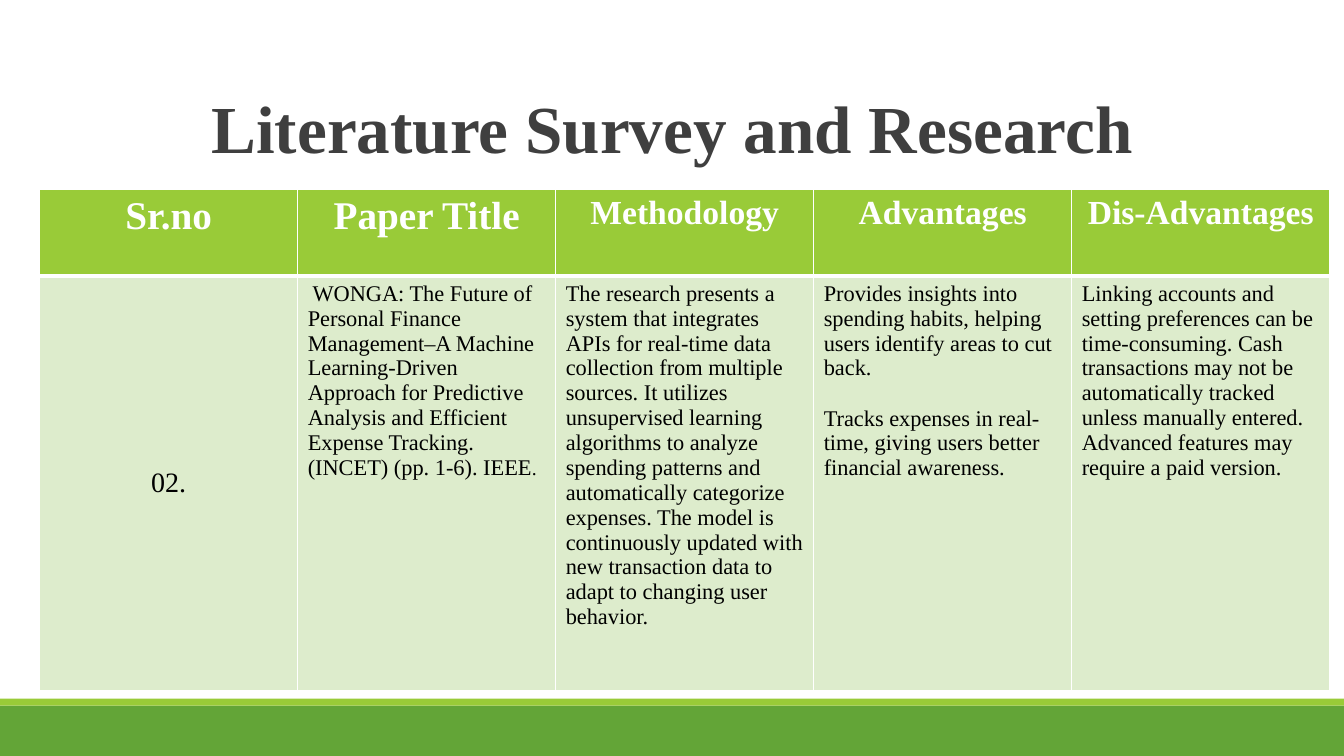
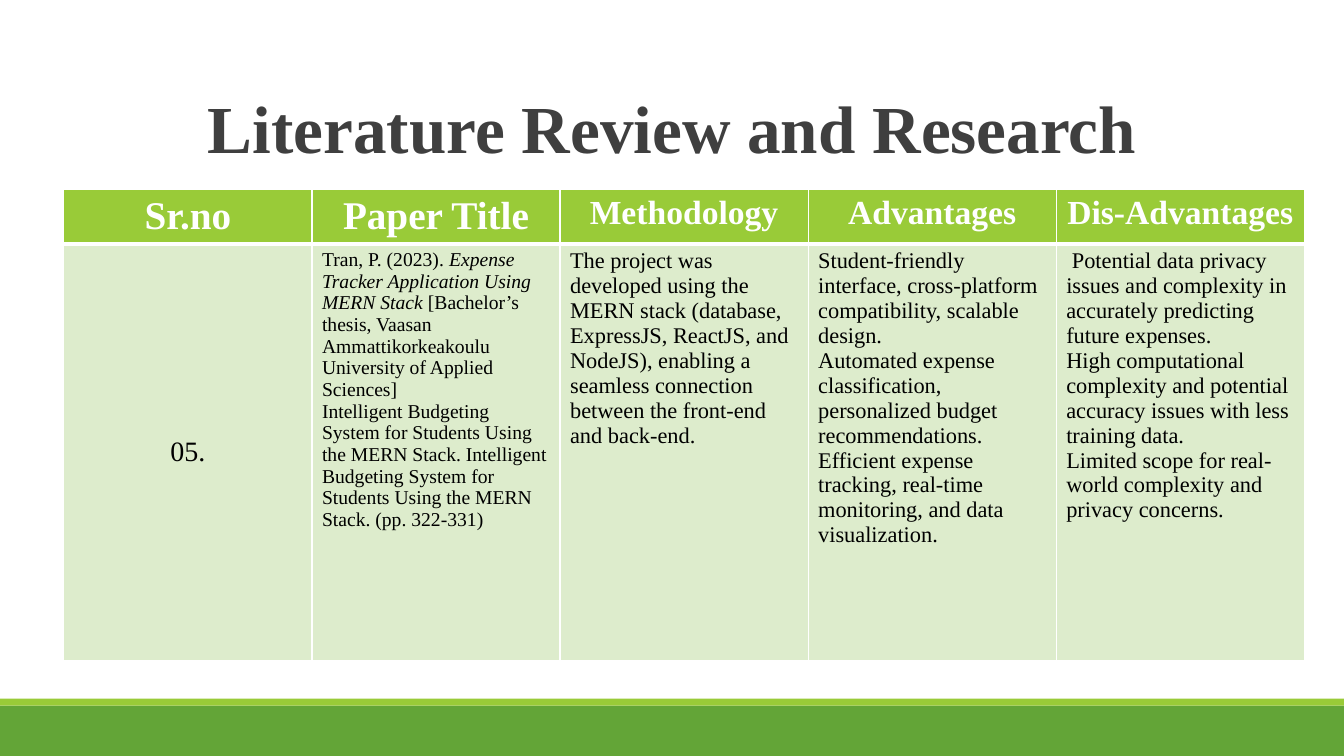
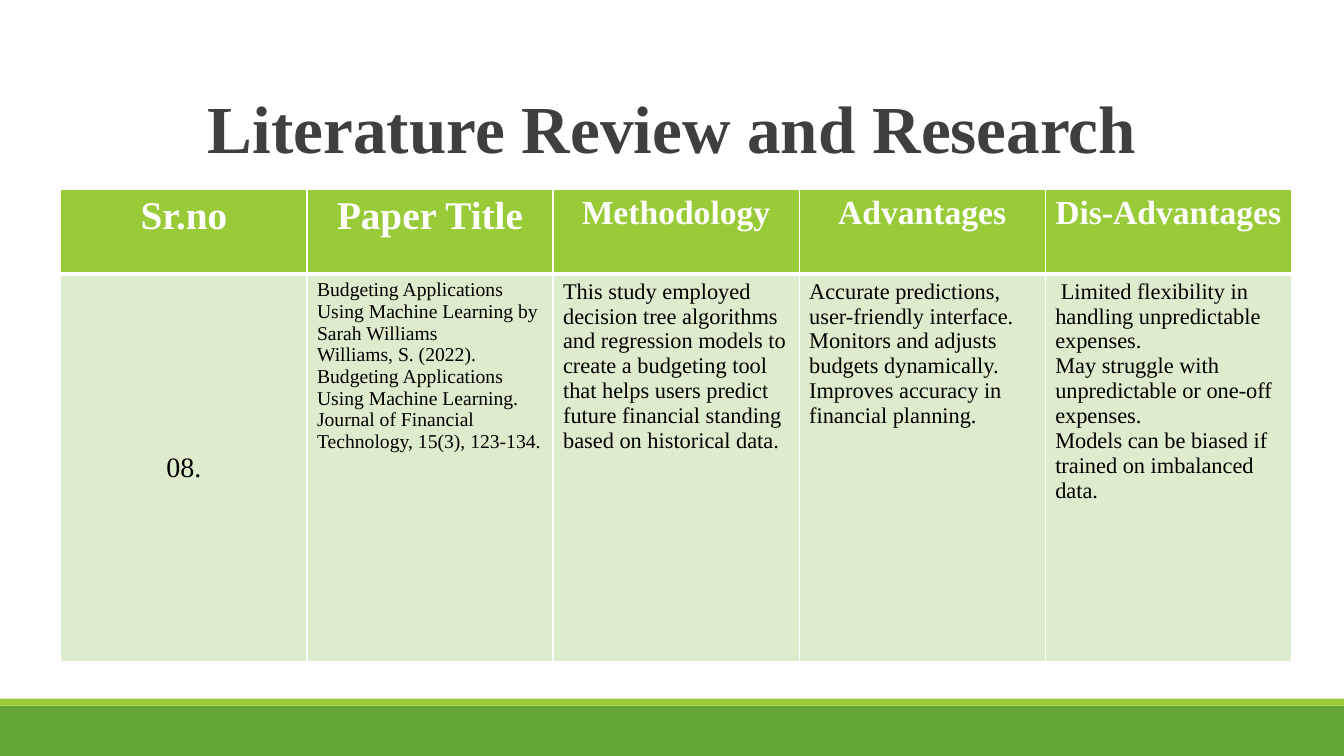
from collections import namedtuple

from lxml import etree
from pptx import Presentation
from pptx import util as u
from pptx.dml.color import RGBColor
from pptx.enum import shapes, text
from pptx.oxml.ns import qn

WHITE = RGBColor(0xFF, 0xFF, 0xFF)
BLACK = RGBColor(0x00, 0x00, 0x00)
CHARCOAL = RGBColor(0x3F, 0x3F, 0x3F)
GREEN = RGBColor(0x63, 0xA5, 0x37)
LIME = RGBColor(0x99, 0xCB, 0x38)
PALE_LIME = RGBColor(0xDD, 0xEC, 0xCC)

FACE = "Times New Roman"
WIDTH, HEIGHT = u.Inches(13.33), u.Inches(7.5)

# Boxes are in percent of the slide's width and height.
Box = namedtuple("Box", "left top width height")
TITLE_BOX = Box(8.78, 1.6, 82.5, 21.2)
BANDS = [(Box(0, 93.33, 100, 6.67), GREEN), (Box(0, 92.4, 100, 0.93), LIME)]
TABLE_TOP = 25.07

HEADINGS = [("Sr.no", 28), ("Paper Title", 28), ("Methodology", 24),
            ("Advantages", 24), ("Dis-Advantages", 24)]

# A paragraph is a string or a list of (text, font settings) runs.
Paper = namedtuple("Paper", "number citation methodology advantages drawbacks")
Survey = namedtuple("Survey", "title left width header body citation_size gap paper")

SURVEYS = [
    Survey(
        "Literature Survey and Research", 2.95, 96, 11.47, 54.8, 16, 18,
        Paper(
            ["02."],
            [[(" ", {"size": u.Pt(14)}),
              ("WONGA: The Future of Personal Finance Management–A Machine "
               "Learning-Driven Approach for Predictive Analysis and Efficient "
               "Expense Tracking. (INCET) (pp. 1-6). IEEE", {}),
              (".", {"size": u.Pt(14)})]],
            ["The research presents a system that integrates APIs for real-time "
             "data collection from multiple sources. It utilizes unsupervised "
             "learning algorithms to analyze spending patterns and automatically "
             "categorize expenses. The model is continuously updated with new "
             "transaction data to adapt to changing user behavior."],
            ["Provides insights into spending habits, helping users identify "
             "areas to cut back.",
             "Tracks expenses in real-time, giving users better financial "
             "awareness."],
            ["Linking accounts and setting preferences can be time-consuming. "
             "Cash transactions may not be automatically tracked unless manually "
             "entered.",
             "Advanced features may require a paid version."])),
    Survey(
        "Literature Review and Research", 4.75, 92.3, 7.2, 55.07, 14, 0,
        Paper(
            ["05."],
            [[("Tran, P. (2023). ", {}),
              ("Expense Tracker Application Using MERN Stack", {"italic": True}),
              (" [Bachelor’s thesis, Vaasan Ammattikorkeakoulu University of "
               "Applied Sciences]", {})],
             "Intelligent Budgeting System for Students Using the MERN Stack. "
             "Intelligent Budgeting System for Students Using the MERN Stack. "
             "(pp. 322-331)"],
            ["The project was developed using the MERN stack (database, ExpressJS, "
             "ReactJS, and NodeJS), enabling a seamless connection between the "
             "front-end and back-end."],
            ["Student-friendly interface, cross-platform compatibility, scalable "
             "design.",
             "Automated expense classification, personalized budget "
             "recommendations.",
             "Efficient expense tracking, real-time monitoring, and data "
             "visualization."],
            [" Potential data privacy issues and complexity in accurately "
             "predicting future expenses.",
             "High computational complexity and potential accuracy issues with "
             "less training data.",
             "Limited scope for real-world complexity and privacy concerns."])),
    Survey(
        "Literature Review and Research", 4.53, 91.55, 11.2, 51.2, 14, 0,
        Paper(
            ["08."],
            ["Budgeting Applications Using Machine Learning by",
             "Sarah Williams",
             "Williams, S. (2022). Budgeting Applications Using Machine Learning. "
             "Journal of Financial Technology, 15(3), 123-134."],
            ["This study employed decision tree algorithms and regression models "
             "to create a budgeting tool that helps users predict future "
             "financial standing based on historical data."],
            ["Accurate predictions, user-friendly interface.",
             "Monitors and adjusts budgets dynamically.",
             "Improves accuracy in financial planning."],
            [" Limited flexibility in handling unpredictable expenses.",
             "May struggle with unpredictable or one-off expenses.",
             "Models can be biased if trained on imbalanced data."])),
]


def place(box):
    """Turn a box in percent into slide lengths."""
    return (int(WIDTH * box.left / 100), int(HEIGHT * box.top / 100),
            int(WIDTH * box.width / 100), int(HEIGHT * box.height / 100))


def write(frame, paragraphs, size, color, bold=False, centred=False, gap=0):
    for index, content in enumerate(paragraphs):
        paragraph = frame.add_paragraph() if index else frame.paragraphs[0]
        if index and gap:
            paragraph.space_before = u.Pt(gap)
        if centred:
            paragraph.alignment = text.PP_ALIGN.CENTER
        font = paragraph.font
        font.name, font.size, font.bold = FACE, u.Pt(size), bold
        font.color.rgb = color
        runs = [(content, {})] if isinstance(content, str) else content
        for words, settings in runs:
            run = paragraph.add_run()
            run.text = words
            for name, value in settings.items():
                setattr(run.font, name, value)


def add_bands(slide):
    for box, color in BANDS:
        band = slide.shapes.add_shape(shapes.MSO_SHAPE.RECTANGLE, *place(box))
        band.shadow.inherit = False
        band.fill.solid()
        band.fill.fore_color.rgb = color
        band.line.fill.background()


def add_title(slide, title):
    frame = slide.shapes.add_textbox(*place(TITLE_BOX)).text_frame
    frame.word_wrap = True
    frame.vertical_anchor = text.MSO_ANCHOR.BOTTOM
    write(frame, [title], 48, CHARCOAL, bold=True, centred=True)
    frame.paragraphs[0].line_spacing = 0.85


def style_cell(cell, color, top, bottom):
    """Give a cell white borders, then its fill; top and bottom are in points."""
    properties = cell._tc.get_or_add_tcPr()
    for side, points in zip("LRTB", (1, 1, top, bottom)):
        border = etree.SubElement(properties, qn(f"a:ln{side}"), w=str(u.Pt(points)))
        fill = etree.SubElement(border, qn("a:solidFill"))
        etree.SubElement(fill, qn("a:srgbClr"), val=str(WHITE))
    cell.fill.solid()
    cell.fill.fore_color.rgb = color


def add_paper_table(slide, survey):
    box = Box(survey.left, TABLE_TOP, survey.width, survey.header + survey.body)
    left, top, width, height = place(box)
    table = slide.shapes.add_table(2, len(HEADINGS), left, top, width, height).table
    table.horz_banding = False
    for row, share in zip(table.rows, (survey.header, survey.body)):
        row.height = int(HEIGHT * share / 100)
    body_sizes = (20, survey.citation_size, 16, 16, 16)
    columns = zip(HEADINGS, survey.paper, body_sizes)
    for index, ((heading, heading_size), paragraphs, size) in enumerate(columns):
        table.columns[index].width = width // len(HEADINGS)
        header, body = table.cell(0, index), table.cell(1, index)
        style_cell(header, LIME, top=1, bottom=3)
        style_cell(body, PALE_LIME, top=3, bottom=1)
        header.margin_left = header.margin_right = u.Inches(0.08)
        header.margin_bottom = u.Inches(0.01)
        write(header.text_frame, [heading], heading_size, WHITE,
              bold=True, centred=True)
        write(body.text_frame, paragraphs, size, BLACK,
              centred=index == 0, gap=survey.gap if index == 3 else 0)
    table.cell(1, 0).vertical_anchor = text.MSO_ANCHOR.MIDDLE


def add_survey_slide(deck, survey):
    slide = deck.slides.add_slide(deck.slide_layouts[6])
    add_bands(slide)
    add_title(slide, survey.title)
    add_paper_table(slide, survey)


def main():
    deck = Presentation()
    deck.slide_width, deck.slide_height = WIDTH, HEIGHT
    for survey in SURVEYS:
        add_survey_slide(deck, survey)
    deck.save("out.pptx")


if __name__ == "__main__":
    main()
